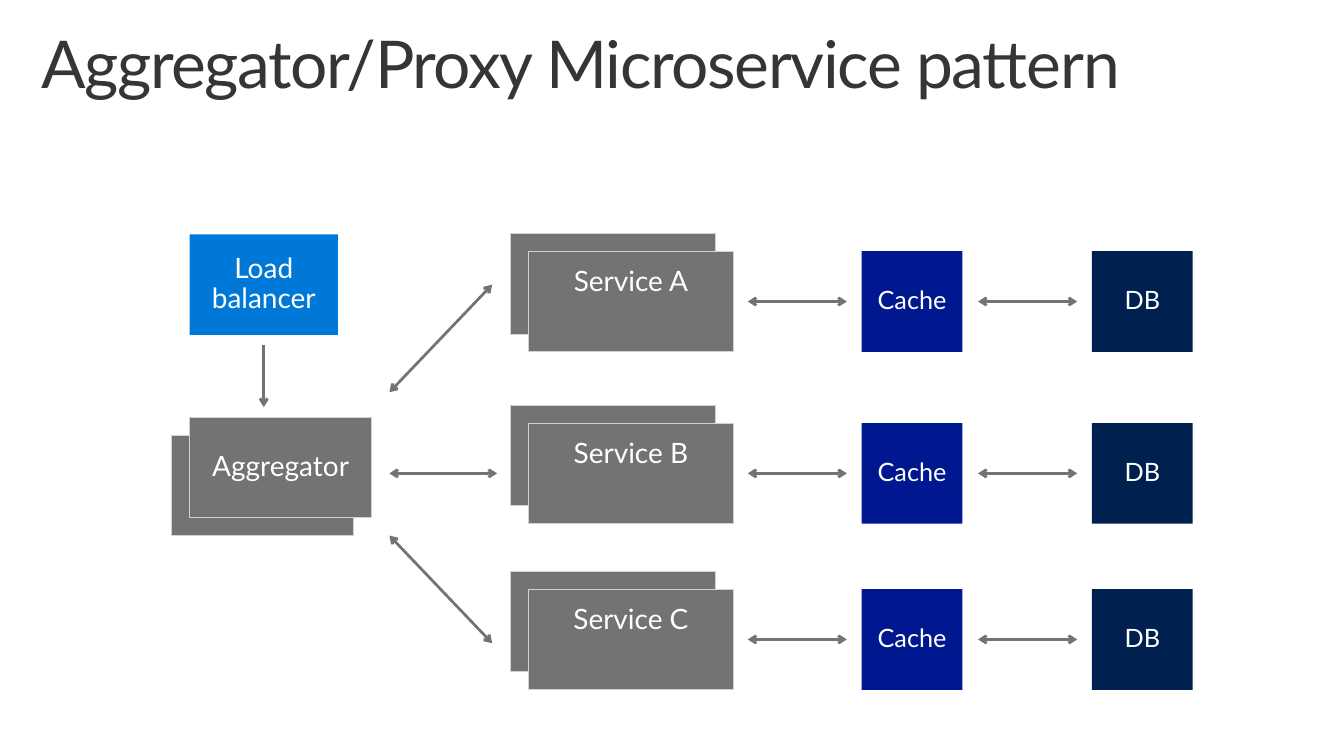
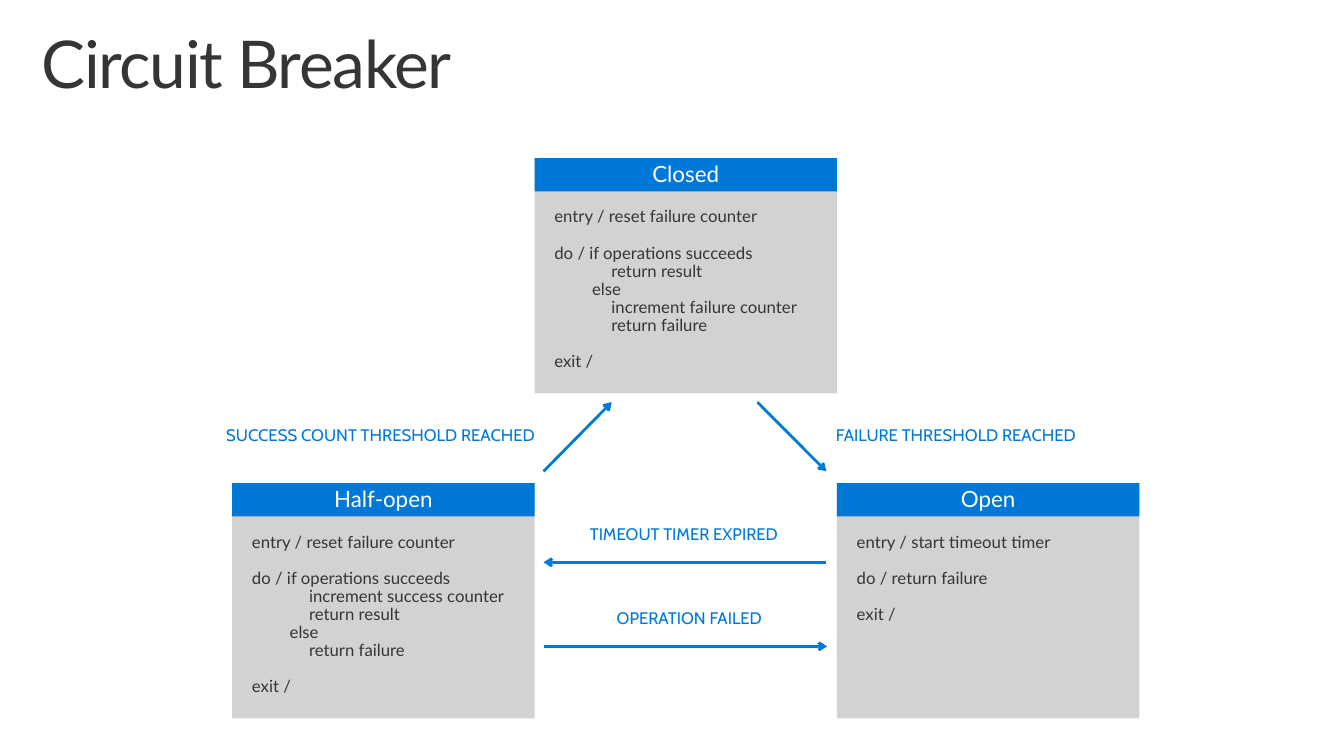
from lxml.etree import SubElement
from pptx import Presentation
from pptx.dml.color import RGBColor
from pptx.enum.shapes import MSO_CONNECTOR, MSO_SHAPE
from pptx.enum.text import MSO_ANCHOR, MSO_AUTO_SIZE, PP_ALIGN
from pptx.oxml.ns import qn
from pptx.util import Pt

COLORS = {
    "ink": "353535",
    "white": "FFFFFF",
    "blue": "0078D7",
    "gray": "737373",
    "light": "D2D2D2",
    "cache": "00188F",
    "database": "002050",
}
BODY_FONT = "Lato"
LABEL_FONT = "Cabin"
BOX_HEIGHT = 73.4
STACK_OFFSET = 13
BOX_INSETS = (14.4, 11.5, 14.4, 11.5)
SQUARE_INSETS = (7.2, 11.5, 7.2, 11.5)
CARD_WIDTH = 220.3
CARD_HEIGHT = 171.4
HEADER_HEIGHT = 24.2
CODE_SIZE = 12.2
BLANK_LINE = 13.2
ELSE_INDENT = 27.5
CODE_INDENT = 41.6


def color(name):
    """Return a palette colour."""
    return RGBColor.from_string(COLORS[name])


def set_frame(box, insets, anchor):
    """Set the insets, anchor and wrapping of a text frame."""
    frame = box.text_frame
    frame.word_wrap = True
    frame.auto_size = MSO_AUTO_SIZE.NONE
    frame.vertical_anchor = anchor
    (frame.margin_left, frame.margin_top,
     frame.margin_right, frame.margin_bottom) = (Pt(inset) for inset in insets)
    return frame


def write(para, text, size, ink, align=PP_ALIGN.LEFT, font=BODY_FONT):
    """Add one formatted run to a paragraph and return it."""
    para.alignment = align
    para.line_spacing = 0.9
    span = para.add_run()
    span.text = text
    span.font.name = font
    span.font.size = Pt(size)
    span.font.color.rgb = color(ink)
    return span


def add_titled_page(deck, title):
    """Add a title-only slide with the shared title style."""
    page = deck.slides.add_slide(deck.slide_layouts[5])
    box = page.shapes.title
    box.left, box.top, box.width, box.height = Pt(18.7), Pt(15.8), Pt(940.3), Pt(93.6)
    frame = set_frame(box, (11.5, 7.2, 11.5, 7.2), MSO_ANCHOR.TOP)
    span = write(frame.paragraphs[0], title, 48, "ink")
    span.font._element.set("spc", "-100")
    return page


def add_box(page, left, top, width, height, fill, outline=None):
    """Add a flat rectangle."""
    box = page.shapes.add_shape(
        MSO_SHAPE.RECTANGLE, Pt(left), Pt(top), Pt(width), Pt(height))
    box.shadow.inherit = False
    box.fill.solid()
    box.fill.fore_color.rgb = color(fill)
    if outline:
        box.line.color.rgb = color(outline)
        box.line.width = Pt(0.75)
    else:
        box.line.fill.background()
    return box


def caption(box, text, size, insets=BOX_INSETS, anchor=MSO_ANCHOR.MIDDLE):
    """Write centred white text in a box."""
    frame = set_frame(box, insets, anchor)
    write(frame.paragraphs[0], text, size, "white", PP_ALIGN.CENTER)


def add_stack(page, left, top, width, shift, text, anchor):
    """Add a captioned box in front of an offset twin."""
    shift_x, shift_y = shift
    add_box(page, left + shift_x, top + shift_y, width, BOX_HEIGHT, "gray", "light")
    front = add_box(page, left, top, width, BOX_HEIGHT, "gray", "light")
    caption(front, text, 20.4, anchor=anchor)


def add_arrow(page, start, end, ink, both=False):
    """Add a straight arrow, pointing both ways on request."""
    points = [Pt(value) for value in (*start, *end)]
    arrow = page.shapes.add_connector(MSO_CONNECTOR.STRAIGHT, *points)
    arrow.line.color.rgb = color(ink)
    arrow.line.width = Pt(2)
    line = arrow.line._get_or_add_ln()
    for tip in ("a:headEnd", "a:tailEnd") if both else ("a:tailEnd",):
        SubElement(line, qn(tip), type="arrow")
    SubElement(arrow._element.spPr, qn("a:effectLst"))


def add_label(page, left, top, width, text, align):
    """Add a transition label."""
    box = page.shapes.add_textbox(Pt(left), Pt(top), Pt(width), Pt(13.7))
    frame = set_frame(box, (0, 0, 0, 0), MSO_ANCHOR.MIDDLE)
    write(frame.paragraphs[0], text, CODE_SIZE, "blue", align, LABEL_FONT)


def add_state(page, left, top, name, blocks):
    """Add a state card; blocks hold (indent, text) lines."""
    card = add_box(page, left, top, CARD_WIDTH, CARD_HEIGHT, "light")
    frame = set_frame(card, (14.4, 36.7, 14.4, 11.5), MSO_ANCHOR.TOP)
    para = frame.paragraphs[0]
    for block_index, block in enumerate(blocks):
        for line_index, (indent, text) in enumerate(block):
            if block_index or line_index:
                para = frame.add_paragraph()
            if block_index and not line_index:
                para.space_before = Pt(BLANK_LINE)
            if indent:
                para._p.get_or_add_pPr().set("marL", str(Pt(indent)))
            write(para, text, CODE_SIZE, "ink")
    header = add_box(page, left, top, CARD_WIDTH, HEADER_HEIGHT, "blue")
    caption(header, name, 16.3, (0, 1.4, 0, 0))


def build_aggregator(deck):
    """Build the aggregator pattern slide."""
    page = add_titled_page(deck, "Aggregator/Proxy Microservice pattern")
    balancer = add_box(page, 138.2, 170.7, 108, BOX_HEIGHT, "blue")
    caption(balancer, "Load balancer", 20.4)
    add_arrow(page, (192.2, 251.3), (192.2, 296.6), "gray")
    add_stack(page, 138.2, 304, 132.5, (-STACK_OFFSET, STACK_OFFSET),
              "Aggregator", MSO_ANCHOR.MIDDLE)
    for start, end in (
        ((358.6, 207.4), (283.7, 285.8)),
        ((283.7, 344.9), (362.2, 344.9)),
        ((358.6, 468.7), (283.7, 390.2)),
    ):
        add_arrow(page, start, end, "gray", both=True)

    for name, top in (("A", 183), ("B", 308.2), ("C", 429.2)):
        add_stack(page, 385.2, top, 149, (-STACK_OFFSET, -STACK_OFFSET),
                  f"Service {name}", MSO_ANCHOR.TOP)
        middle = top + BOX_HEIGHT / 2
        for left, text, fill in ((627.8, "Cache", "cache"), (795.6, "DB", "database")):
            add_arrow(page, (left - 83, middle), (left - 10.8, middle), "gray", both=True)
            store = add_box(page, left, top, BOX_HEIGHT, BOX_HEIGHT, fill)
            caption(store, text, 18.4, SQUARE_INSETS)


def build_breaker(deck):
    """Build the circuit breaker slide."""
    page = add_titled_page(deck, "Circuit Breaker")
    reset = [(0, "entry / reset failure counter")]
    leave = [(0, "exit /")]
    condition = (0, "do / if operations succeeds")
    otherwise = (ELSE_INDENT, "else")
    result = (CODE_INDENT, "return result")
    failure = (CODE_INDENT, "return failure")
    closed = [condition, result, otherwise,
              (CODE_INDENT, "increment failure counter"), failure]
    half_open = [condition, (CODE_INDENT, "increment success counter"),
                 result, otherwise, failure]
    opened = [[(0, "entry / start timeout timer")], [(0, "do / return failure")], leave]
    left, top = 169.2, 352
    add_state(page, left + CARD_WIDTH, 115.2, "Closed", [reset, closed, leave])
    add_state(page, left, top, "Half-open", [reset, half_open, leave])
    add_state(page, left + 2 * CARD_WIDTH, top, "Open", opened)

    for start, end in (
        ((396, 343.4), (445.7, 293)),
        ((551.8, 293), (602, 343.4)),
        ((602, 409.7), (396, 409.7)),
        ((396.6, 470.9), (602.6, 470.9)),
    ):
        add_arrow(page, start, end, "blue")
    for label in (
        (162, 311, 231, "SUCCESS COUNT THRESHOLD REACHED", PP_ALIGN.CENTER),
        (606.2, 311, 181, "FAILURE THRESHOLD REACHED", PP_ALIGN.CENTER),
        (429.8, 383, 147, "TIMEOUT TIMER EXPIRED", PP_ALIGN.LEFT),
        (449.3, 444.2, 112, "OPERATION FAILED", PP_ALIGN.LEFT),
    ):
        add_label(page, *label)


def main():
    """Build and save the deck."""
    deck = Presentation()
    deck.slide_width, deck.slide_height = Pt(979.2), Pt(550.8)
    build_aggregator(deck)
    build_breaker(deck)
    deck.save("out.pptx")


if __name__ == "__main__":
    main()
